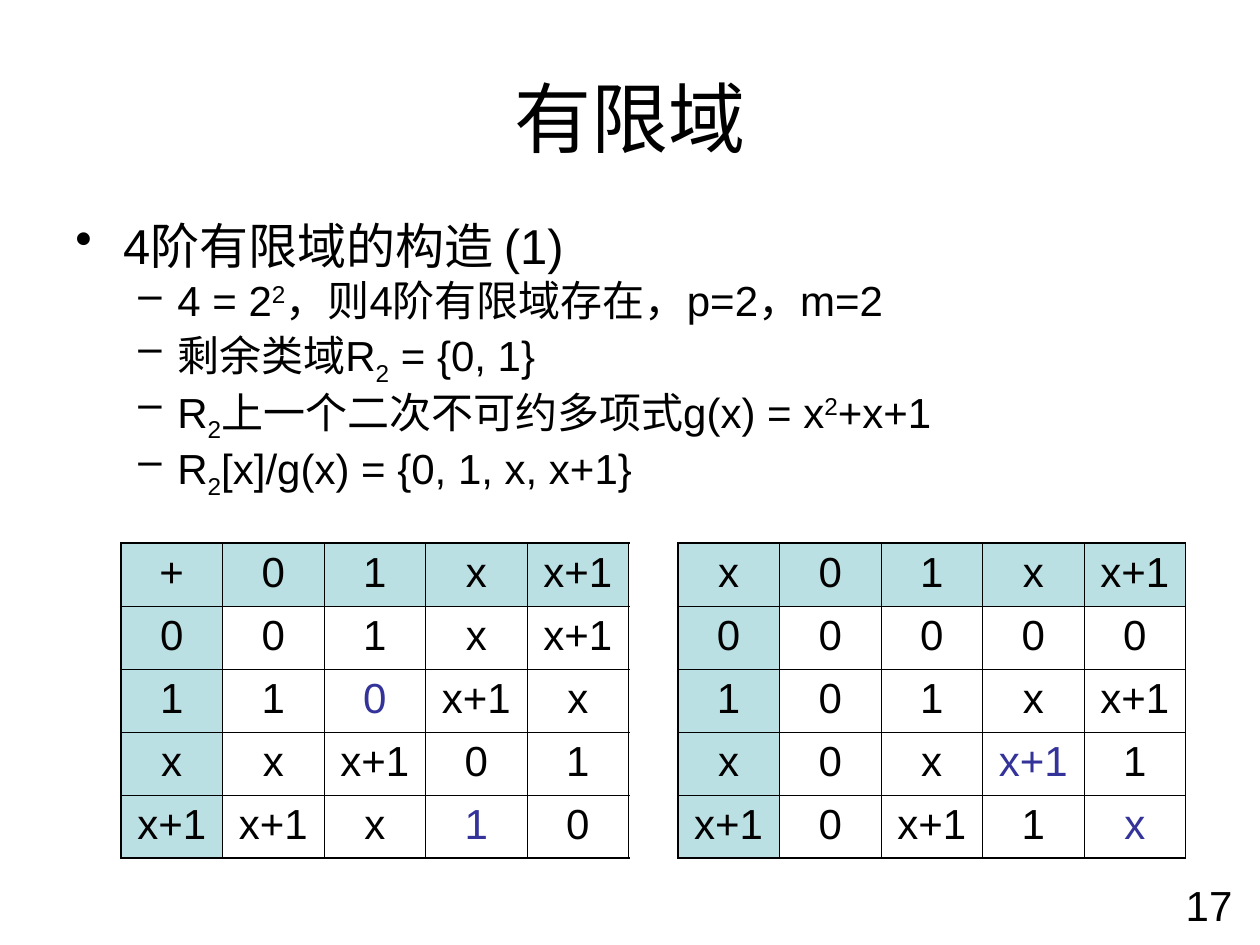
import pptx
import pptx.dml.color
import pptx.enum.text
import pptx.oxml
import pptx.oxml.ns
import pptx.util

BLACK = pptx.dml.color.RGBColor(0x00, 0x00, 0x00)
HEADER_TEAL = pptx.dml.color.RGBColor(0xBB, 0xE0, 0xE3)
HIGHLIGHT_BLUE = pptx.dml.color.RGBColor(0x33, 0x33, 0x99)

FONT = "Arial"
ALIGN = pptx.enum.text.PP_ALIGN
ANCHOR = pptx.enum.text.MSO_ANCHOR
GRID_COLUMNS, GRID_ROWS = 100, 75
SLIDE_WIDTH, SLIDE_HEIGHT = pptx.util.Inches(10), pptx.util.Inches(7.5)
SUPERSCRIPT, SUBSCRIPT = 30, -25
THICK, THIN = 1.08, 0.45

HEADING = [("4阶有限域的构造 (1)", 0)]
POINTS = [
    [("4 = 2", 0), ("2", SUPERSCRIPT), ("，则4阶有限域存在，p=2，m=2", 0)],
    [("剩余类域R", 0), ("2", SUBSCRIPT), (" = {0, 1}", 0)],
    [("R", 0), ("2", SUBSCRIPT), ("上一个二次不可约多项式g(x) = x", 0),
     ("2", SUPERSCRIPT), ("+x+1", 0)],
    [("R", 0), ("2", SUBSCRIPT), ("[x]/g(x) = {0, 1, x, x+1}", 0)],
]
ADDITION = ["+ 0 1 x x+1", "0 0 1 x x+1", "1 1 0 x+1 x", "x x x+1 0 1", "x+1 x+1 x 1 0"]
MULTIPLICATION = ["x 0 1 x x+1", "0 0 0 0 0", "1 0 1 x x+1", "x 0 x x+1 1", "x+1 0 x+1 1 x"]


def grid_box(left, top, width, height):
    """Turn grid columns and rows into slide lengths."""
    column, row = SLIDE_WIDTH / GRID_COLUMNS, SLIDE_HEIGHT / GRID_ROWS
    return [round(length) for length in (left * column, top * row, width * column, height * row)]


def style_paragraph(paragraph, size, align, color=BLACK):
    """Set the font and alignment of a whole paragraph."""
    paragraph.alignment = align
    paragraph.font.name = FONT
    paragraph.font.size = pptx.util.Pt(size)
    paragraph.font.color.rgb = color


def place_title(title, box, text):
    """Move the title placeholder into its box and fill it."""
    title.left, title.top, title.width, title.height = box
    title.text_frame.text = text
    title.text_frame.vertical_anchor = ANCHOR.MIDDLE
    style_paragraph(title.text_frame.paragraphs[0], 44, ALIGN.CENTER)


def write_bullet(paragraph, pieces, size, level, bullet, before, margin, hanging):
    """Write one bulleted line with raised and lowered pieces."""
    style_paragraph(paragraph, size, ALIGN.LEFT)
    paragraph.level = level
    paragraph.line_spacing = 0.8
    paragraph.space_before = pptx.util.Pt(before)
    for text, baseline in pieces:
        run = paragraph.add_run()
        run.text = text
        if baseline:
            run.font._element.set("baseline", str(baseline * 1000))
    properties = paragraph._p.get_or_add_pPr()
    properties.set("marL", str(pptx.util.Inches(margin)))
    properties.set("indent", str(-pptx.util.Inches(hanging)))
    mark = pptx.oxml.parse_xml(
        f'<a:buChar {pptx.oxml.ns.nsdecls("a")} char="{bullet}"/>')
    properties.insert_element_before(mark, "a:tabLst", "a:defRPr", "a:extLst")


def add_outline(slide, box, heading, points):
    """Add the heading bullet and the dashed points below it."""
    frame = slide.shapes.add_textbox(*box).text_frame
    frame.word_wrap = True
    write_bullet(frame.paragraphs[0], heading, 28, 0, "•", 7, 0.38, 0.38)
    for pieces in points:
        write_bullet(frame.add_paragraph(), pieces, 24, 1, "–", 6, 0.81, 0.31)


def set_borders(cell, widths):
    """Draw the left, right, top and bottom borders of a cell."""
    properties = cell._tc.get_or_add_tcPr()
    for position, (side, width) in enumerate(zip("LRTB", widths)):
        border = pptx.oxml.parse_xml(
            f'<a:ln{side} {pptx.oxml.ns.nsdecls("a")} w="{pptx.util.Pt(width)}">'
            f'<a:solidFill><a:srgbClr val="{BLACK}"/></a:solidFill></a:ln{side}>')
        properties.insert(position, border)


def add_operation_table(slide, box, rows, highlights):
    """Add an operation table with shaded operands and highlighted results."""
    size = len(rows)
    table = slide.shapes.add_table(size, size, *box).table
    table.first_row = table.horz_banding = False
    last = size - 1
    for r, row in enumerate(rows):
        for c, element in enumerate(row.split()):
            cell = table.cell(r, c)
            cell.text = element
            paragraph = cell.text_frame.paragraphs[0]
            color = HIGHLIGHT_BLUE if (r, c) in highlights else BLACK
            style_paragraph(paragraph, 24, ALIGN.CENTER, color)
            paragraph.space_before = pptx.util.Pt(6)
            if r == 0 or c == 0:
                cell.fill.solid()
                cell.fill.fore_color.rgb = HEADER_TEAL
            else:
                cell.fill.background()
            outer_sides = (c == 0, c == last, r == 0, r == last)
            set_borders(cell, [THICK if outer else THIN for outer in outer_sides])


def add_page_number(slide, box, number):
    """Add the page number at the right of its box."""
    frame = slide.shapes.add_textbox(*box).text_frame
    frame.word_wrap = True
    frame.text = number
    style_paragraph(frame.paragraphs[0], 24, ALIGN.RIGHT)


def main():
    """Build the finite field slide and save it."""
    deck = pptx.Presentation()
    deck.slide_width, deck.slide_height = SLIDE_WIDTH, SLIDE_HEIGHT
    slide = deck.slides.add_slide(deck.slide_layouts[5])
    place_title(slide.shapes.title, grid_box(5, 3, 90, 12.5), "有限域")
    add_outline(slide, grid_box(5, 17.5, 90, 23.9), HEADING, POINTS)
    add_operation_table(slide, grid_box(9.6, 43.1, 40.3, 24.9), ADDITION, {(2, 2), (4, 3)})
    add_operation_table(slide, grid_box(53.8, 43.1, 40.3, 24.9), MULTIPLICATION, {(3, 3), (4, 4)})
    add_page_number(slide, grid_box(75.5, 69.3, 23.3, 5.2), "17")
    deck.save("out.pptx")


if __name__ == "__main__":
    main()
